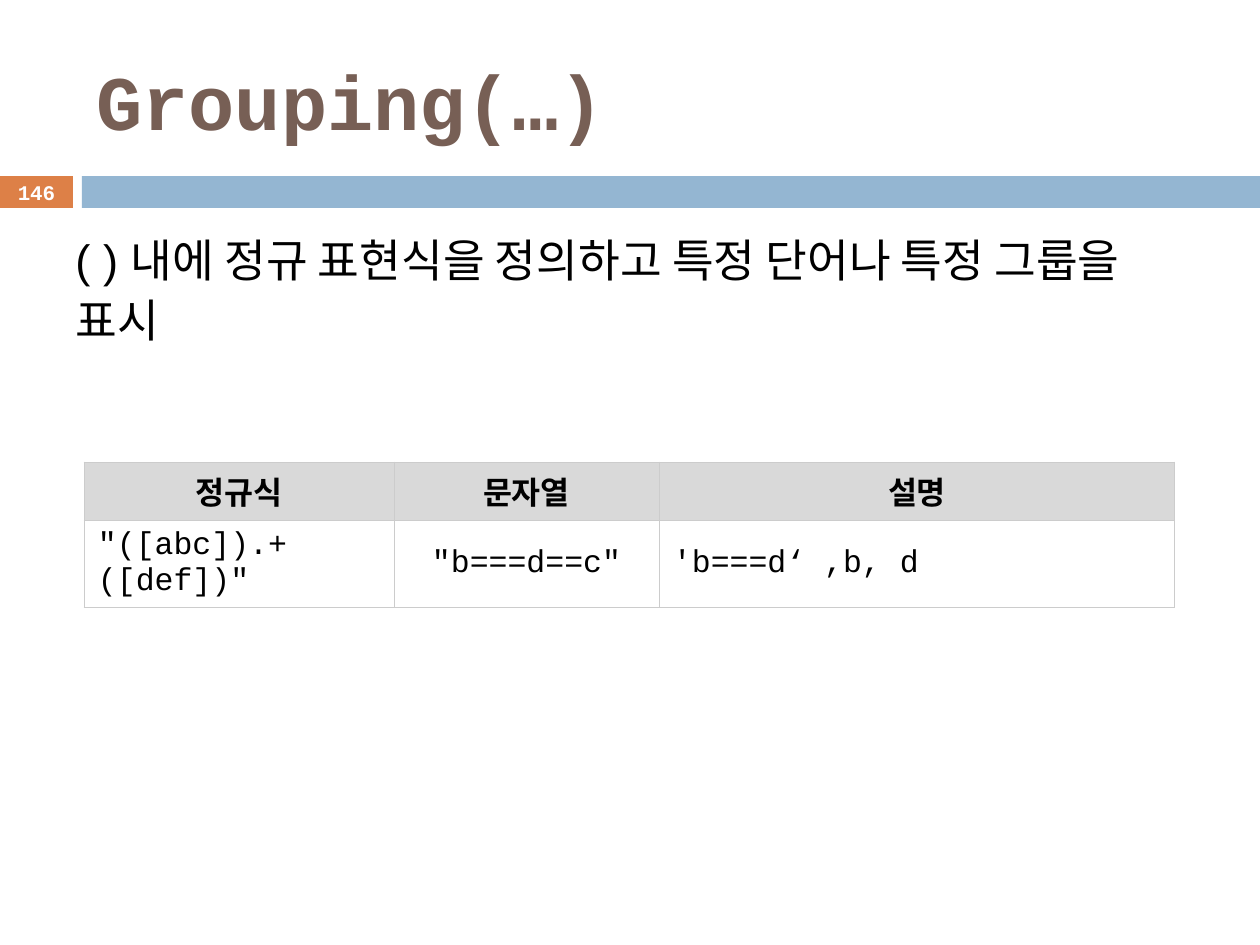
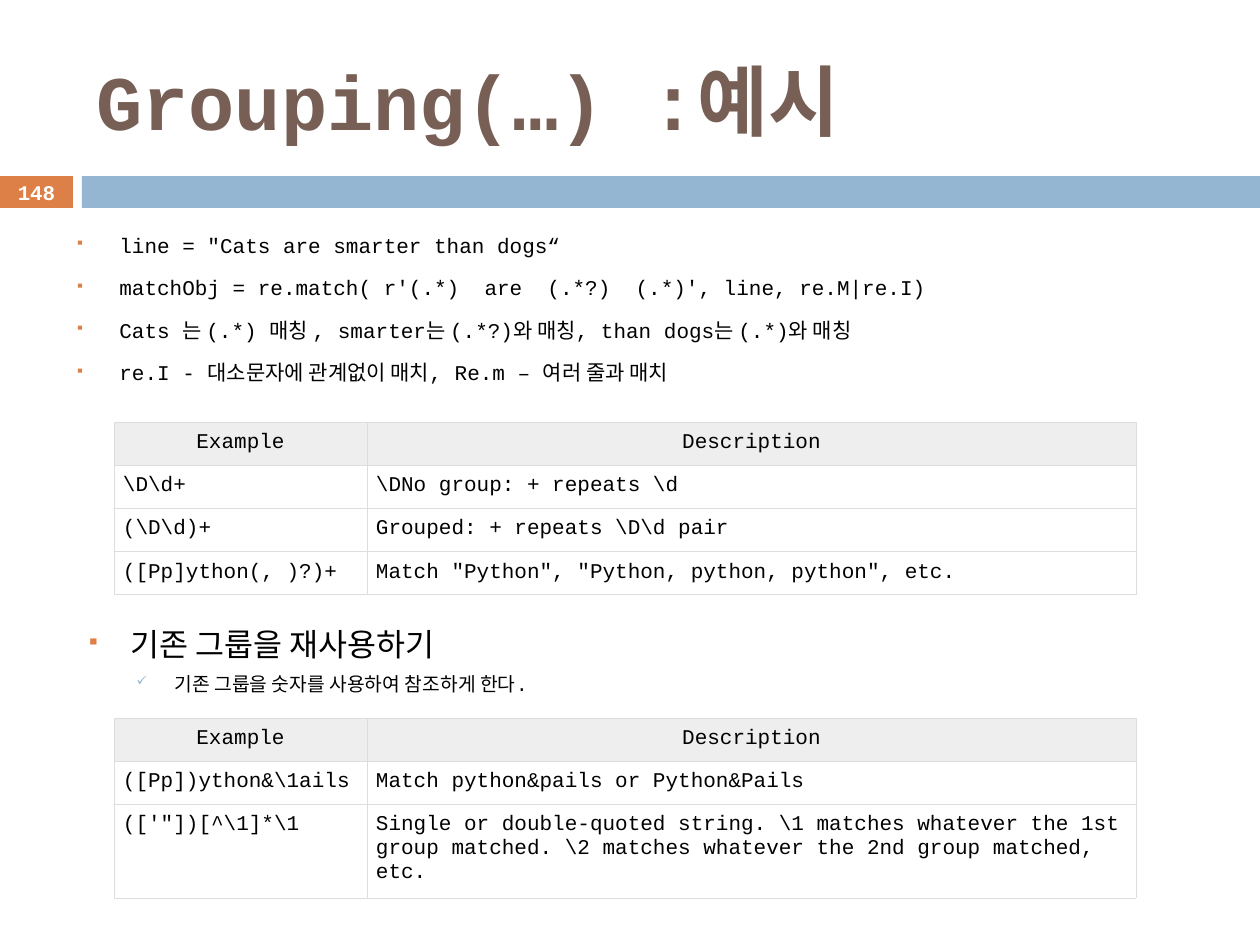
from lxml import etree
from pptx import Presentation, util as u
from pptx.dml.color import RGBColor
from pptx.enum import shapes, text
from pptx.oxml.ns import qn

PX = 914400 / 126
BROWN = RGBColor(0x77, 0x5F, 0x55)
ORANGE = RGBColor(0xDD, 0x80, 0x47)
BLUE = RGBColor(0x94, 0xB6, 0xD2)
BLACK = RGBColor(0, 0, 0)
WHITE = RGBColor(255, 255, 255)
GRAY = RGBColor(0xD9, 0xD9, 0xD9)
PALE = RGBColor(0xEE, 0xEE, 0xEE)
RULE = RGBColor(0xCC, 0xCC, 0xCC)
THIN = RGBColor(0xDD, 0xDD, 0xDD)
MONO = "Courier New"
LEFT, MID = text.PP_ALIGN.LEFT, text.PP_ALIGN.CENTER
TOP, CORE = text.MSO_ANCHOR.TOP, text.MSO_ANCHOR.MIDDLE
SQUARE = ("▪", ORANGE, 60)
CHECK = ("✓", BLUE, 70)


def px(*nums):
    return [u.Emu(round(n * PX)) for n in nums]


def write(frame, words, size=12, font=MONO, color=BLACK, bold=False,
          align=LEFT, anchor=TOP, line=None, before=0, level=0,
          mark=None, left=44, hang=44):
    """Fill the empty first paragraph of a frame, or add one after it."""
    frame.word_wrap = True
    frame.vertical_anchor = anchor
    first = not frame.text
    par = frame.paragraphs[0] if first else frame.add_paragraph()
    if mark:
        sign, tint, scale = mark
        prop = par._p.get_or_add_pPr()
        prop.set("marL", str(px(left)[0]))
        prop.set("indent", str(-px(hang)[0]))
        clr = etree.SubElement(prop, qn("a:buClr"))
        etree.SubElement(clr, qn("a:srgbClr"), val=str(tint))
        etree.SubElement(prop, qn("a:buSzPct"), val=str(scale * 1000))
        etree.SubElement(prop, qn("a:buChar"), char=sign)
    par.level = level
    par.alignment = align
    par.space_before = u.Pt(0 if first else before)
    if line:
        par.line_spacing = line
    run = par.add_run()
    run.text = words
    run.font.size = u.Pt(size)
    run.font.name = font
    run.font.bold = bold
    run.font.color.rgb = color


deck = Presentation()
deck.slide_width, deck.slide_height = px(1260, 945)

# Shared title, bands and page number
pages = []
for title, num in [("Grouping(…)", "146"), ("Grouping(…) :예시", "148")]:
    page = deck.slides.add_slide(deck.slide_layouts[6])
    pages.append(page.shapes)
    for x, wide, tint in [(0, 73, ORANGE), (82, 1178, BLUE)]:
        band = page.shapes.add_shape(shapes.MSO_SHAPE.RECTANGLE,
                                     *px(x, 176, wide, 32))
        band.shadow.inherit = False
        band.fill.solid()
        band.fill.fore_color.rgb = tint
        band.line.fill.background()
    box = page.shapes.add_textbox(*px(84, 32, 1124, 136))
    write(box.text_frame, title, size=44, color=BROWN, bold=True, anchor=CORE)
    box = page.shapes.add_textbox(*px(0, 175, 73, 34))
    write(box.text_frame, num, size=11.9, color=WHITE, bold=True,
          align=MID, anchor=CORE)
first, second = pages

# Slide 1: definition
box = first.add_textbox(*px(63, 221, 1134, 134))
write(box.text_frame, "( ) 내에 정규 표현식을 정의하고 특정 단어나 특정 그룹을 표시",
      size=25.9, font="Arial", line=1.1)

# Slide 2: code lines
box = second.add_textbox(*px(63, 221, 1134, 193))
for words in [
    'line = "Cats are smarter than dogs“',
    "matchObj = re.match( r'(.*)  are  (.*?)  (.*)', line, re.M|re.I)",
    "Cats 는 (.*) 매칭 , smarter는 (.*?)와 매칭, than dogs는 (.*)와 매칭",
    "re.I - 대소문자에 관계없이 매치, Re.m – 여러 줄과 매치",
]:
    write(box.text_frame, words, line=1.2, before=7, mark=SQUARE)

# Slide 2: reusing groups
box = second.add_textbox(*px(74, 611, 1062, 92))
write(box.text_frame, "기존 그룹을 재사용하기", size=18, line=1.2, mark=SQUARE)
write(box.text_frame, "기존 그룹을 숫자를 사용하여 참조하게 한다.", size=11,
      before=5.5, level=1, mark=CHECK, left=88, hang=38)

# Tables: page, corner, columns, row heights, cells, look
HEAD = ("Example", "Description")
BIG = dict(size=18, bold=True, fill=GRAY, edge=RULE, pad=(14, 6),
           anchor=CORE, centre=[1])
SMALL = dict(size=12, bold=False, fill=PALE, edge=THIN, pad=(9, 9),
             anchor=TOP, centre=[])
tables = [
    (first, (84, 462), (310, 265, 516), (58, 58), [
        ("정규식", "문자열", "설명"),
        ('"([abc]).+([def])"', '"b===d==c"', "'b===d‘ ,b, d"),
    ], BIG),
    (second, (114, 422), (253, 769), (41, 41, 41, 41), [
        HEAD,
        (r"\D\d+", r"\DNo group: + repeats \d"),
        (r"(\D\d)+", r"Grouped: + repeats \D\d pair"),
        ("([Pp]ython(, )?)+", 'Match "Python", "Python, python, python", etc.'),
    ], SMALL),
    (second, (114, 718), (253, 769), (41, 41, 88), [
        HEAD,
        (r"([Pp])ython&\1ails", "Match python&pails or Python&Pails"),
        (r"""(['"])[^\1]*\1""",
         r"Single or double-quoted string. \1 matches whatever the 1st group "
         r"matched. \2 matches whatever the 2nd group matched, etc."),
    ], SMALL),
]
for page, spot, cols, rows, cells, look in tables:
    grid = page.add_table(len(rows), len(cols),
                          *px(*spot, sum(cols), sum(rows))).table
    for col, wide in zip(grid.columns, px(*cols)):
        col.width = wide
    for row, high in zip(grid.rows, px(*rows)):
        row.height = high
    for r, line in enumerate(cells):
        for c, words in enumerate(line):
            cell = grid.cell(r, c)
            side, rim = px(*look["pad"])
            cell.margin_left = cell.margin_right = side
            cell.margin_top = cell.margin_bottom = rim
            cell.vertical_anchor = look["anchor"]
            head = r == 0
            write(cell.text_frame, words, size=look["size"],
                  bold=head and look["bold"], anchor=None,
                  align=MID if head or c in look["centre"] else LEFT)
            # Borders come before the fill
            prop = cell._tc.get_or_add_tcPr()
            for tag in ("a:lnL", "a:lnR", "a:lnT", "a:lnB"):
                edge = etree.SubElement(prop, qn(tag), w=str(u.Pt(0.6)))
                fill = etree.SubElement(edge, qn("a:solidFill"))
                etree.SubElement(fill, qn("a:srgbClr"), val=str(look["edge"]))
            cell.fill.solid()
            cell.fill.fore_color.rgb = look["fill"] if head else WHITE

deck.save("out.pptx")
